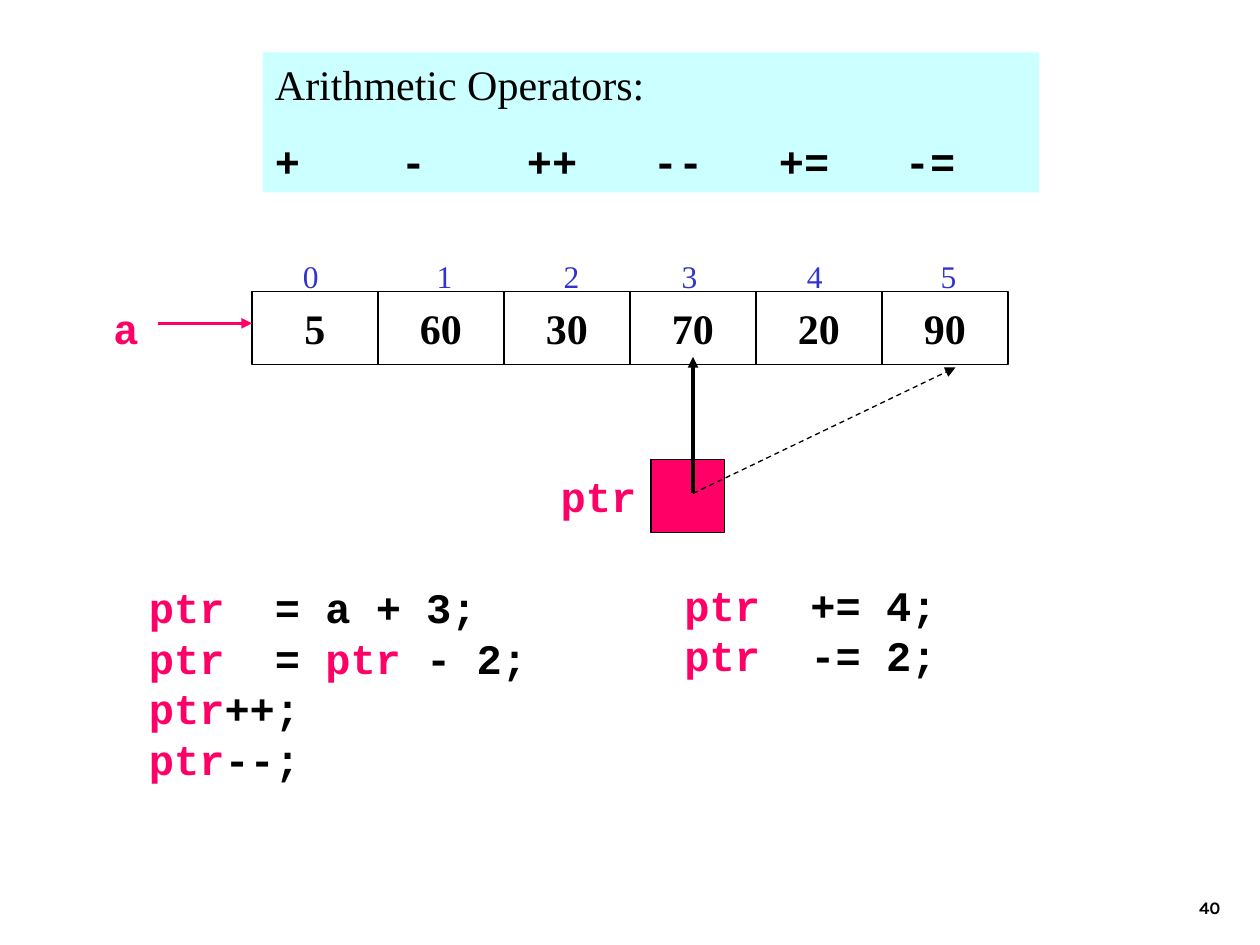
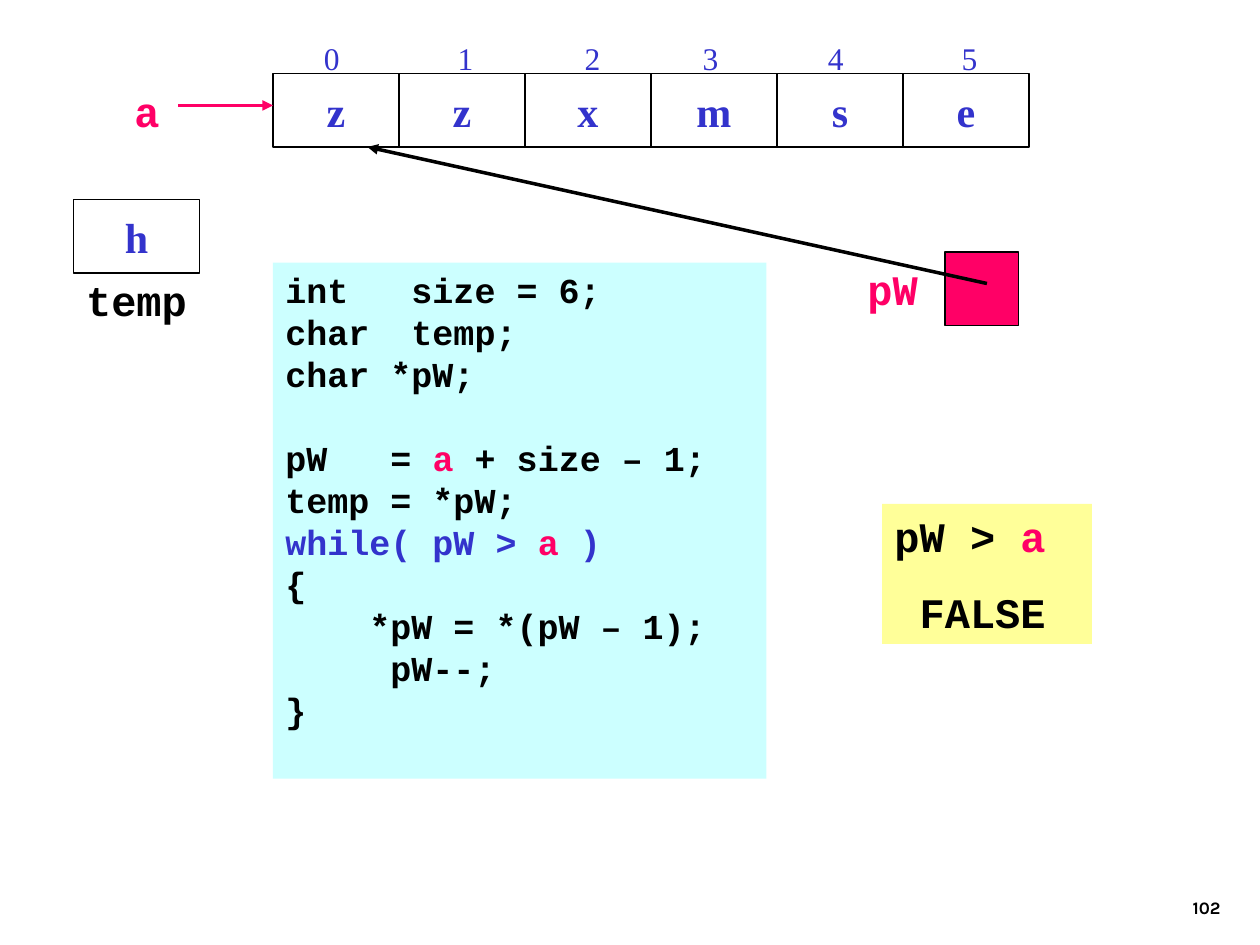
from lxml import etree
from pptx import Presentation
from pptx.dml.color import RGBColor
from pptx.enum.dml import MSO_LINE
from pptx.enum.shapes import MSO_CONNECTOR, MSO_SHAPE
from pptx.enum.text import MSO_ANCHOR as ANCHOR, PP_ALIGN as ALIGN
from pptx.oxml.ns import qn
from pptx.util import Pt

SERIF, MONO, NUMBER_FONT = "Times New Roman", "Courier New", "Karla"
BLACK, PINK, BLUE = "000000", "FF0066", "3333CC"
CYAN, YELLOW = "CCFFFF", "FFFF99"
CELL_W, CELL_H = 72, 42
INDEX_TABS = (22, 98.5, 171, 238.5, 310, 386.5)
OPERATOR_TABS = [72 * i for i in range(1, 6)]


def rgb(color):
    return RGBColor.from_string(color)


def set_tabs(p, stops):
    tabs = etree.SubElement(p._p.get_or_add_pPr(), qn("a:tabLst"))
    for stop in stops:
        etree.SubElement(tabs, qn("a:tab"), pos=str(Pt(stop)), algn="l")


def write(sp, lines, font=MONO, size=24, color=BLACK, bold=True,
          align=ALIGN.LEFT, space=0, tabs=()):
    """Append lines; each is a string or a list of strings and (text, colour)."""
    tf = sp.text_frame
    for line in lines:
        first = not tf.text
        p = tf.paragraphs[0] if first else tf.add_paragraph()
        p.alignment = align
        p.line_spacing = Pt(1.2 * size)
        p.space_before = Pt(0 if first else space)
        if tabs:
            set_tabs(p, tabs)
        for part in [line] if isinstance(line, str) else line:
            text, run_color = (part, color) if isinstance(part, str) else part
            r = p.add_run()
            r.text = text
            r.font.name, r.font.size, r.font.bold = font, Pt(size), bold
            r.font.color.rgb = rgb(run_color)


def frame(sp, anchor, wrap):
    sp.text_frame.vertical_anchor = anchor
    sp.text_frame.word_wrap = wrap
    return sp


def add_text(slide, x, y, w, h, lines, anchor=ANCHOR.TOP, wrap=True, **fmt):
    box = slide.shapes.add_textbox(Pt(x), Pt(y), Pt(w), Pt(h))
    write(frame(box, anchor, wrap), lines, **fmt)


def add_label(slide, x, y, text, w=CELL_W, color=PINK):
    add_text(slide, x, y, w, CELL_H, [text], ANCHOR.MIDDLE, False,
             color=color, align=ALIGN.CENTER)


def add_box(slide, x, y, w, h, fill=None, outline=False, anchor=ANCHOR.TOP):
    sp = slide.shapes.add_shape(MSO_SHAPE.RECTANGLE, Pt(x), Pt(y), Pt(w), Pt(h))
    sp.shadow.inherit = False
    if fill:
        sp.fill.solid()
        sp.fill.fore_color.rgb = rgb(fill)
    else:
        sp.fill.background()
    if outline:
        sp.line.color.rgb = rgb(BLACK)
        sp.line.width = Pt(0.75)
    else:
        sp.line.fill.background()
    return frame(sp, anchor, True)


def add_cell(slide, x, y, value, color):
    cell = add_box(slide, x, y, CELL_W, CELL_H, outline=True, anchor=ANCHOR.MIDDLE)
    write(cell, [value], font=SERIF, color=color, align=ALIGN.CENTER)


def add_arrow(slide, x1, y1, x2, y2, color=BLACK, width=2, dashed=False):
    arrow = slide.shapes.add_connector(
        MSO_CONNECTOR.STRAIGHT, Pt(x1), Pt(y1), Pt(x2), Pt(y2))
    arrow.line.color.rgb = rgb(color)
    arrow.line.width = Pt(width)
    if dashed:
        arrow.line.dash_style = MSO_LINE.DASH
    etree.SubElement(arrow.line._get_or_add_ln(), qn("a:tailEnd"), type="triangle")
    etree.SubElement(arrow._element.spPr, qn("a:effectLst"))


def add_array(slide, x, y, values, color):
    """Draw the array cells, their indices, and the name a pointing at them."""
    for i, value in enumerate(values):
        add_cell(slide, x + i * CELL_W, y, value, color)
    indices = "".join(f"\t{i}" for i in range(len(values)))
    add_text(slide, x, y - 29.75, len(values) * CELL_W, CELL_H, [indices],
             ANCHOR.MIDDLE, font=SERIF, size=18, color=BLUE, bold=False,
             tabs=INDEX_TABS)
    add_label(slide, x - 108, y, "a")
    add_arrow(slide, x - 54, y + 18.25, x, y + 18.25, color=PINK)


def add_pointer(slide, x, y, name, name_x, name_w):
    add_label(slide, name_x, y, name, w=name_w)
    add_box(slide, x, y, CELL_H, CELL_H, PINK, outline=True)


def add_slide(prs, number):
    slide = prs.slides.add_slide(prs.slide_layouts[6])
    add_text(slide, 554.5, 492, 150, 36, [number], ANCHOR.BOTTOM,
             font=NUMBER_FONT, size=10, align=ALIGN.RIGHT)
    return slide


def build_operators(prs):
    slide = add_slide(prs, "40")
    heading = add_box(slide, 150, 30, 444, 80, CYAN)
    write(heading, ["Arithmetic Operators:"], font=SERIF, bold=False)
    write(heading, ["+\t-\t++\t--\t+=\t-="], space=15, tabs=OPERATOR_TABS)

    add_array(slide, 144, 166.5, ["5", "60", "30", "70", "20", "90"], BLACK)
    add_pointer(slide, 372, 262.5, "ptr", 306, 72)
    add_arrow(slide, 396, 282, 546, 210, width=0.75, dashed=True)
    add_arrow(slide, 396, 282, 396, 204)

    ptr = ("ptr", PINK)
    add_text(slide, 78, 329, 276, 122.5, [
        [ptr, "  = a + 3;"],
        [ptr, "  = ", ptr, " - 2;"],
        [ptr, "++;"],
        [ptr, "--;"]])
    add_text(slide, 384, 327.5, 276, 65, [[ptr, "  += 4;"], [ptr, "  -= 2;"]])


def build_shift_loop(prs):
    slide = add_slide(prs, "102")
    add_array(slide, 156, 42, "zzxmse", BLUE)

    code = add_box(slide, 156, 150, 282, 295, CYAN)
    write(code, ["int   size = 6;", "char  temp;", "char *pW;"], size=20)
    write(code, [["pW   = ", ("a", PINK), " + size – 1;"]], size=20, space=24)
    write(code, [
        "temp = *pW;",
        [("while( pW > ", BLUE), ("a ", PINK), (")", BLUE)],
        "{",
        "    *pW = *(pW – 1);",
        "     pW--;",
        "}"], size=20)

    add_pointer(slide, 540, 144, "pW", 480, 60)
    add_arrow(slide, 564, 162, 210, 84)
    add_label(slide, 42, 150, "temp", color=BLACK)
    add_cell(slide, 42, 114, "h", BLUE)

    condition = add_box(slide, 504, 288, 120, 80, YELLOW)
    write(condition, [["pW > ", ("a", PINK)], " FALSE"], space=15)


def main():
    prs = Presentation()
    prs.slide_width, prs.slide_height = Pt(720), Pt(540)
    build_operators(prs)
    build_shift_loop(prs)
    prs.save("out.pptx")


if __name__ == "__main__":
    main()
